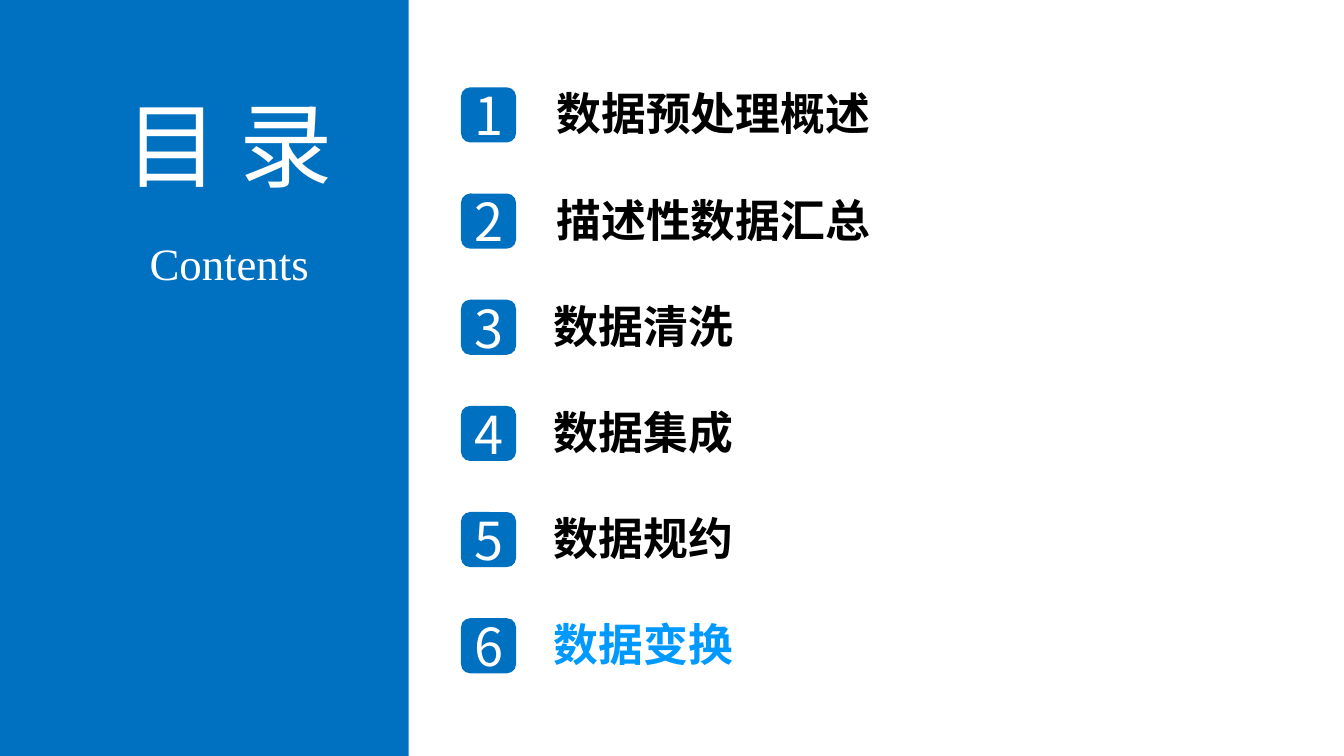
from pptx import Presentation
from pptx.dml.color import RGBColor
from pptx.enum.shapes import MSO_SHAPE
from pptx.enum.text import MSO_ANCHOR, MSO_AUTO_SIZE, PP_ALIGN
from pptx.oxml.ns import qn
from pptx.util import Inches, Pt

BLUE = RGBColor(0x00, 0x70, 0xC0)
HIGHLIGHT = RGBColor(0x00, 0x99, 0xFF)
BLACK = RGBColor(0x00, 0x00, 0x00)
WHITE = RGBColor(0xFF, 0xFF, 0xFF)
CJK = "Noto Sans CJK SC"
LATIN = "Times New Roman"

SLIDE_WIDTH = Inches(10)
SLIDE_HEIGHT = SLIDE_WIDTH * 9 // 16

TOPICS = ["数据预处理概述", "描述性数据汇总", "数据清洗", "数据集成", "数据规约", "数据变换"]
CURRENT = "数据变换"
FIRST_TOP, STEP = 0.65, 0.79


def set_text(sp, text, size, color=WHITE, font=CJK, bold=False,
             align=PP_ALIGN.CENTER, anchor=MSO_ANCHOR.TOP, grow=True):
    tf = sp.text_frame
    tf.margin_left = tf.margin_right = Inches(0.07)
    tf.margin_top = tf.margin_bottom = Inches(0.04)
    tf.vertical_anchor = anchor
    tf.word_wrap = not grow
    tf.auto_size = MSO_AUTO_SIZE.SHAPE_TO_FIT_TEXT if grow else MSO_AUTO_SIZE.NONE
    p = tf.paragraphs[0]
    p.alignment = align
    r = p.add_run()
    r.text = text
    r.font.size = Pt(size)
    r.font.bold = bold
    r.font.color.rgb = color
    r.font.name = font
    # East Asian glyphs take their typeface from a separate element
    ea = r.font._element.makeelement(qn("a:ea"), {"typeface": font})
    r.font._element.find(qn("a:latin")).addnext(ea)


def add_block(shapes, kind, left, top, width, height):
    sp = shapes.add_shape(kind, Inches(left), Inches(top), Inches(width), Inches(height))
    sp.shadow.inherit = False
    sp.fill.solid()
    sp.fill.fore_color.rgb = BLUE
    sp.line.fill.background()
    return sp


def add_label(shapes, left, top, width, height, text, size, **fmt):
    sp = shapes.add_textbox(Inches(left), Inches(top), Inches(width), Inches(height))
    set_text(sp, text, size, **fmt)


def add_title(s, text):
    sp = s.shapes.title
    sp.left, sp.top = Inches(0.76), Inches(0.61)
    sp.width, sp.height = Inches(1.89), Inches(0.91)
    set_text(sp, text, 50)


def add_panel(s):
    """Blue side panel, placed behind the title."""
    panel = add_block(s.shapes, MSO_SHAPE.RECTANGLE, -0.01, 0, 3.05, 5.62)
    panel.height = SLIDE_HEIGHT
    s.shapes.title._element.addprevious(panel._element)


def add_topic(s, number, text):
    top = FIRST_TOP + (number - 1) * STEP
    shapes = s.shapes.add_group_shape().shapes
    badge = add_block(shapes, MSO_SHAPE.ROUNDED_RECTANGLE, 3.43, top, 0.41, 0.41)
    set_text(badge, str(number), 28, anchor=MSO_ANCHOR.MIDDLE, grow=False)
    left, width = (4.07, 2.51) if len(text) > 4 else (4.05, 1.5)
    add_label(shapes, left, top - 0.05, width, 0.48, text, 24, bold=True,
              color=HIGHLIGHT if text == CURRENT else BLACK, align=PP_ALIGN.LEFT)


def main():
    prs = Presentation()
    prs.slide_width, prs.slide_height = SLIDE_WIDTH, SLIDE_HEIGHT
    s = prs.slides.add_slide(prs.slide_layouts[5])
    add_panel(s)
    add_title(s, "目 录")
    add_label(s.shapes, 1.03, 1.71, 1.35, 0.48, "Contents", 24, font=LATIN)
    for number, text in enumerate(TOPICS, 1):
        add_topic(s, number, text)
    prs.save("out.pptx")


if __name__ == "__main__":
    main()
